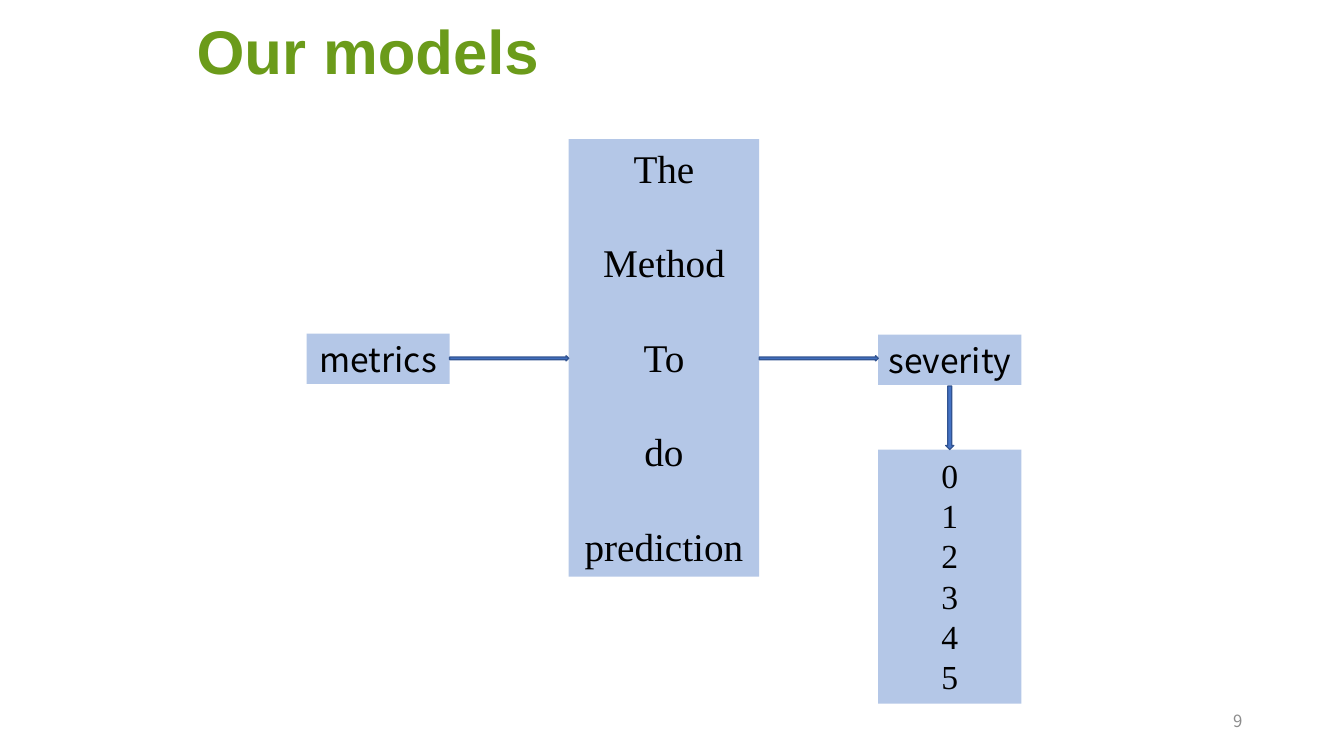
from pptx import Presentation
from pptx.dml.color import RGBColor
from pptx.enum.shapes import MSO_SHAPE as Kind
from pptx.enum.text import MSO_ANCHOR as Anchor, PP_ALIGN as Align
from pptx.util import Inches, Pt

GREEN = RGBColor(0x6B, 0x9B, 0x1A)
PALE = RGBColor(0xB4, 0xC7, 0xE7)
BLUE = RGBColor(0x44, 0x72, 0xC4)
NAVY = RGBColor(0x32, 0x54, 0x91)
GREY = RGBColor(0x8C, 0x8C, 0x8C)
BLACK = RGBColor(0, 0, 0)
SANS, SERIF = "Noto Sans CJK SC", "Times New Roman"

deck = Presentation()
deck.slide_width, deck.slide_height = Inches(13.33), Inches(7.5)
slide = deck.slides.add_slide(deck.slide_layouts[5])
shapes = slide.shapes


def place(shape, left, top, width, height):
    shape.left, shape.top = Inches(left), Inches(top)
    shape.width, shape.height = Inches(width), Inches(height)


def write(shape, lines, face, size, color, align, anchor, bold=False, **gaps):
    """Fill the shape with one paragraph per line; gaps are paragraph formats."""
    frame = shape.text_frame
    frame.text = "\n".join(lines)
    frame.word_wrap = False
    frame.vertical_anchor = anchor
    for para in frame.paragraphs:
        para.alignment = align
        for name, value in gaps.items():
            setattr(para, name, value)
        for run in para.runs:
            for name, value in dict(name=face, size=Pt(size), bold=bold).items():
                setattr(run.font, name, value)
            run.font.color.rgb = color


# Columns of the flow, with equal gaps between its three stages
small, wide, gap = 1.42, 1.89, 1.18
left = 3.04
mid = left + small + gap
right = mid + wide + gap

title = shapes.title
place(title, 1.85, 0.08, 8.35, 0.84)
write(title, ["Our models"], "Arial", 44, GREEN, Align.LEFT, Anchor.TOP, True)

method = ["The", "Method", "To", "do", "prediction"]
levels = [str(n) for n in range(6)]
loose = dict(line_spacing=Pt(33.6), space_after=Pt(33.9))
tight = dict(line_spacing=Pt(28.8))
boxes = [
    (left, 3.31, small, 0.5, ["metrics"], SANS, 24, Anchor.MIDDLE, {}),
    (right, 3.32, small, 0.5, ["severity"], SANS, 24, Anchor.MIDDLE, {}),
    (mid, 1.38, wide, 4.34, method, SERIF, 28, Anchor.TOP, loose),
    (right, 4.46, small, 2.52, levels, SERIF, 24, Anchor.TOP, tight),
]
for x, y, w, h, lines, face, size, anchor, gaps in boxes:
    box = shapes.add_shape(Kind.RECTANGLE, *map(Inches, (x, y, w, h)))
    box.shadow.inherit = False
    box.fill.solid()
    box.fill.fore_color.rgb = PALE
    box.line.fill.background()
    write(box, lines, face, size, BLACK, Align.CENTER, anchor, **gaps)

arrows = [
    (Kind.RIGHT_ARROW, left + small, 3.53, gap, 0.05),
    (Kind.RIGHT_ARROW, mid + wide, 3.53, gap, 0.05),
    (Kind.DOWN_ARROW, right + small / 2 - 0.04, 3.83, 0.08, 0.63),
]
for kind, x, y, w, h in arrows:
    arrow = shapes.add_shape(kind, *map(Inches, (x, y, w, h)))
    arrow.shadow.inherit = False
    arrow.fill.solid()
    arrow.fill.fore_color.rgb = BLUE
    arrow.line.color.rgb = NAVY
    arrow.line.width = Pt(1)

page = shapes.add_textbox(*map(Inches, (9.42, 6.95, 3, 0.4)))
write(page, ["9"], SANS, 12, GREY, Align.RIGHT, Anchor.MIDDLE)
page.text_frame.word_wrap = True

deck.save("out.pptx")
